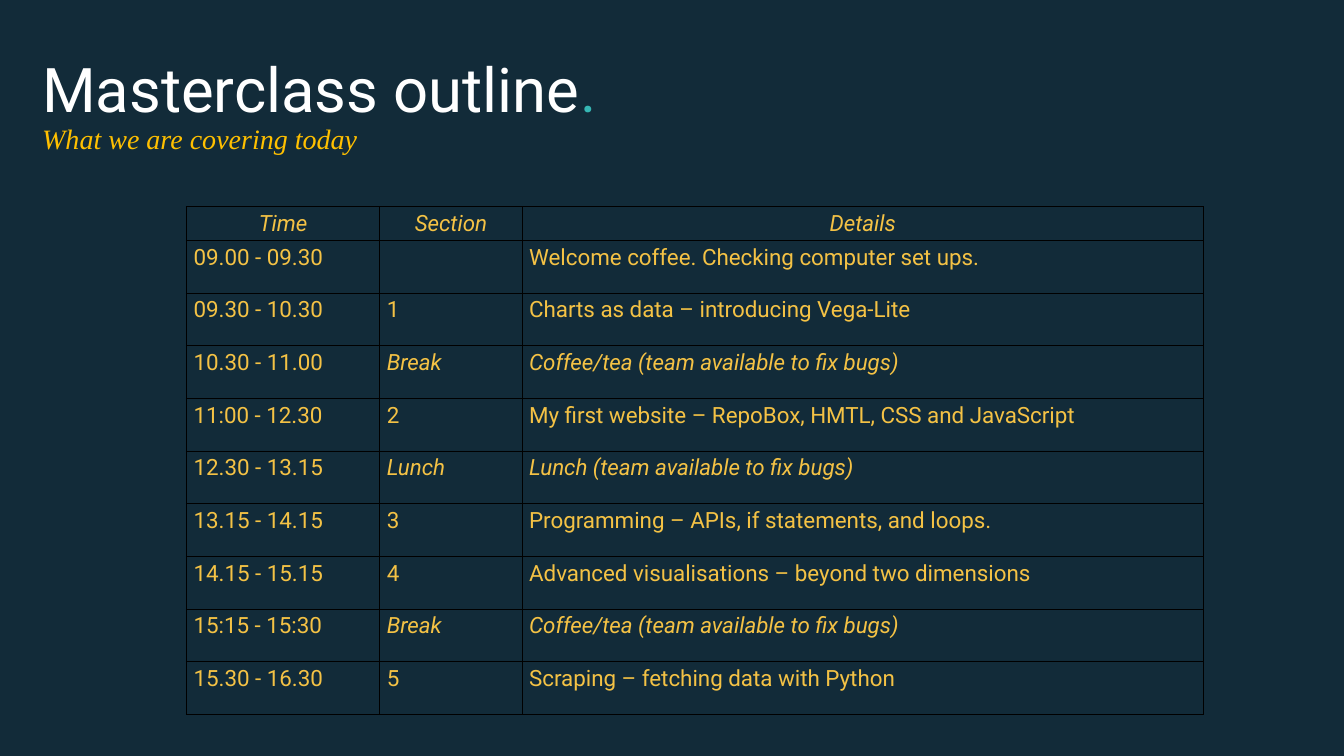
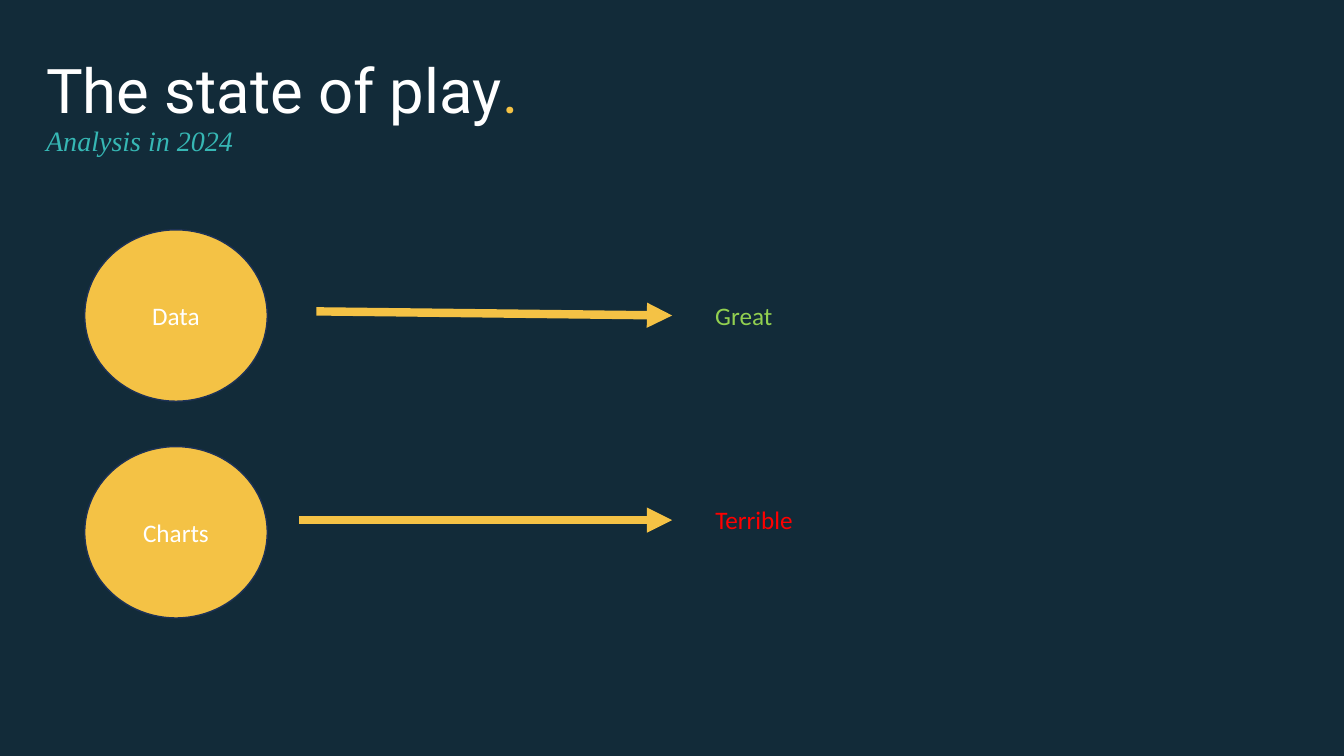
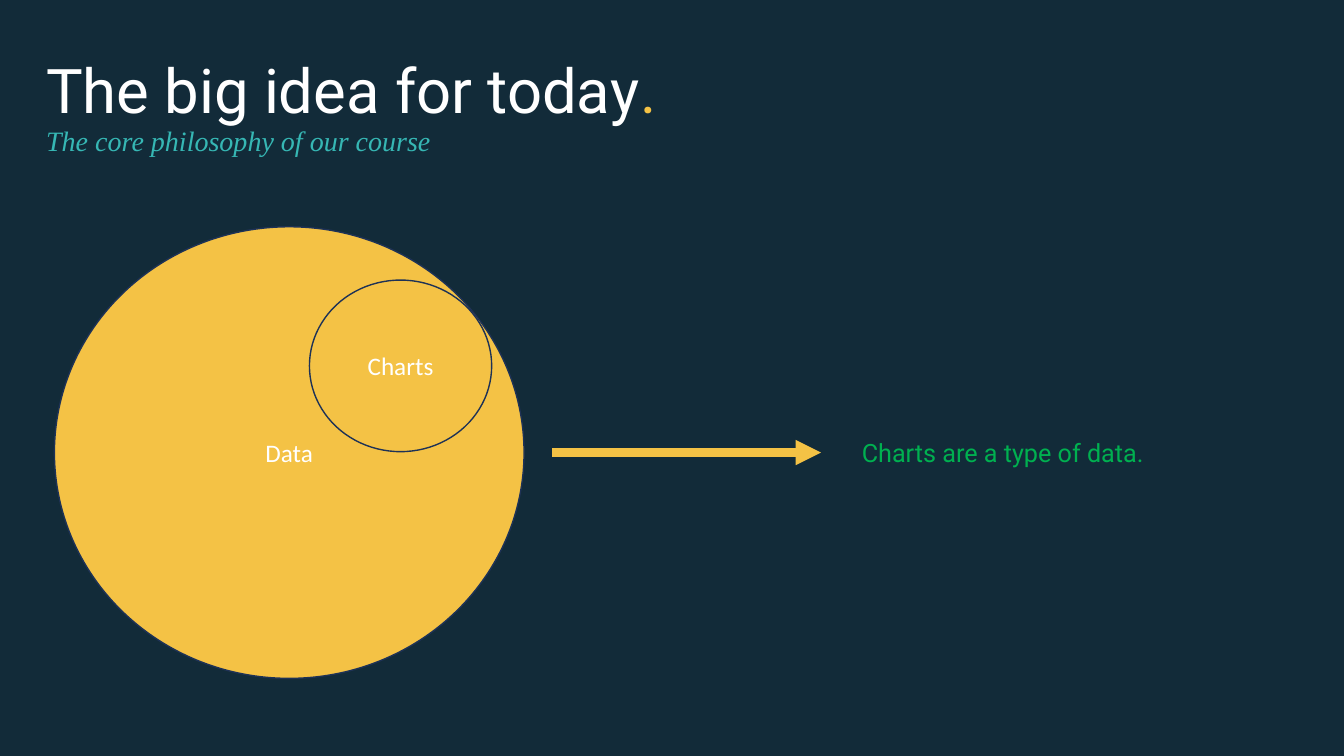
import dataclasses

import pptx
import pptx.dml.color
import pptx.enum.shapes
import pptx.enum.text
import pptx.oxml
import pptx.oxml.ns
import pptx.util

SHAPE = pptx.enum.shapes.MSO_SHAPE
ANCHOR = pptx.enum.text.MSO_ANCHOR
ALIGN = pptx.enum.text.PP_ALIGN
SLIDE_W, SLIDE_H = pptx.util.Inches(13.333), pptx.util.Inches(7.5)


# Theme: colours, fonts and type sizes
@dataclasses.dataclass(frozen=True)
class Theme:
    navy: str = "122B39"
    outline: str = "1E3256"
    yellow: str = "F4C245"
    gold: str = "FFC000"
    teal: str = "36B7B4"
    white: str = "FFFFFF"
    black: str = "000000"
    lime: str = "92D050"
    green: str = "00B050"
    red: str = "FF0000"
    head_font: str = "Roboto"
    accent_font: str = "Times New Roman"
    body_font: str = "Calibri"
    title: int = 44
    subtitle: int = 20
    label: int = 18
    cell: int = 16
    thin: int = 1
    thick: int = 6


T = Theme()


# Boxes are measured in percent of the slide; areas in percent of their box
@dataclasses.dataclass(frozen=True)
class Box:
    x: float
    y: float
    w: float
    h: float

    def area(self, x, y, w=0, h=0):
        return Box(self.x + self.w * x / 100, self.y + self.h * y / 100,
                   self.w * w / 100, self.h * h / 100)

    def emu(self):
        return (int(SLIDE_W * self.x / 100), int(SLIDE_H * self.y / 100),
                int(SLIDE_W * self.w / 100), int(SLIDE_H * self.h / 100))


def rgb(value):
    return pptx.dml.color.RGBColor.from_string(value)


def set_all(obj, **values):
    for name, value in values.items():
        setattr(obj, name, value)


def add_run(p, text, size, font, color, italic=False):
    r = p.add_run()
    r.text = text
    set_all(r.font, size=pptx.util.Pt(size), name=font, italic=italic)
    r.font.color.rgb = rgb(color)


# Shared elements
def add_slide(prs):
    s = prs.slides.add_slide(prs.slide_layouts[6])
    s.background.fill.solid()
    s.background.fill.fore_color.rgb = rgb(T.navy)
    return s


def add_filled(s, kind, box, fill, line=None):
    sp = s.shapes.add_shape(kind, *box.emu())
    sp.shadow.inherit = False
    sp.fill.solid()
    sp.fill.fore_color.rgb = rgb(fill)
    if line:
        sp.line.color.rgb = rgb(line)
        sp.line.width = pptx.util.Pt(T.thin)
    else:
        sp.line.fill.background()
    set_all(sp.text_frame, word_wrap=True, vertical_anchor=ANCHOR.MIDDLE)
    return sp


def add_title(s, box, title, subtitle, dot_color, sub_color):
    sp = add_filled(s, SHAPE.RECTANGLE, box, T.navy)
    p = sp.text_frame.paragraphs[0]
    set_all(p, alignment=ALIGN.LEFT, line_spacing=0.9)
    add_run(p, title, T.title, T.head_font, T.white)
    add_run(p, ".", T.title, T.head_font, dot_color)
    p.add_line_break()
    add_run(p, subtitle, T.subtitle, T.accent_font, sub_color, True)


def add_circle(s, box, label):
    sp = add_filled(s, SHAPE.OVAL, box, T.yellow, T.outline)
    p = sp.text_frame.paragraphs[0]
    p.alignment = ALIGN.CENTER
    add_run(p, label, T.label, T.body_font, T.white)


def add_arrow(s, start, end):
    arrow = s.shapes.add_connector(
        pptx.enum.shapes.MSO_CONNECTOR.STRAIGHT,
        *start.emu()[:2], *end.emu()[:2])
    arrow.line.color.rgb = rgb(T.yellow)
    arrow.line.width = pptx.util.Pt(T.thick)
    ns = pptx.oxml.ns.nsdecls("a")
    ln = arrow.get_or_add_ln()
    ln.append(pptx.oxml.parse_xml(f'<a:tailEnd {ns} type="triangle"/>'))
    ln.addnext(pptx.oxml.parse_xml(f'<a:effectLst {ns}/>'))


def add_note(s, box, text, font, color, wrap=False):
    tf = s.shapes.add_textbox(*box.emu()).text_frame
    set_all(tf, word_wrap=wrap,
            auto_size=pptx.enum.text.MSO_AUTO_SIZE.SHAPE_TO_FIT_TEXT)
    p = tf.paragraphs[0]
    add_run(p, text, T.label, font, color)
    return p


# Timetable
def add_borders(cell):
    tc_pr = cell._tc.get_or_add_tcPr()
    for i, side in enumerate(("lnL", "lnR", "lnT", "lnB")):
        tc_pr.insert(i, pptx.oxml.parse_xml(
            f'<a:{side} {pptx.oxml.ns.nsdecls("a")} '
            f'w="{int(pptx.util.Pt(T.thin))}"><a:solidFill>'
            f'<a:srgbClr val="{T.black}"/></a:solidFill></a:{side}>'))


def fill_cell(cell, text, header, italic):
    cell.fill.solid()
    cell.fill.fore_color.rgb = rgb(T.navy)
    add_borders(cell)
    side = pptx.util.Inches(0.07)
    set_all(cell, margin_left=side, margin_right=side,
            margin_top=0, margin_bottom=0)
    p = cell.text_frame.paragraphs[0]
    gap = pptx.util.Pt(3)
    set_all(p, line_spacing=1.15, space_before=gap, space_after=gap,
            alignment=ALIGN.CENTER if header else ALIGN.LEFT)
    if text:
        add_run(p, text, T.cell, T.head_font, T.yellow, italic)


def add_timetable(s, box, rows):
    col_shares = (0.19, 0.14, 0.67)
    row_weights = [2] + [3.1] * (len(rows) - 1)
    frame = s.shapes.add_table(len(rows), len(col_shares), *box.emu())
    table = frame.table
    set_all(table, first_row=False, horz_banding=False)
    _, _, width, height = box.emu()
    for col, share in zip(table.columns, col_shares):
        col.width = int(width * share)
    for row, weight in zip(table.rows, row_weights):
        row.height = int(height * weight / sum(row_weights))
    for i, texts in enumerate(rows):
        pause = texts[1] in ("Break", "Lunch")
        for j, text in enumerate(texts):
            fill_cell(table.cell(i, j), text, i == 0,
                      i == 0 or (pause and j > 0))


# Circle, arrow and verdict in one row
def add_verdict_row(s, box, label, start, end, verdict, color, width):
    add_circle(s, box.area(0, 0, 25.3, 100), label)
    add_arrow(s, box.area(*start), box.area(*end))
    add_note(s, box.area(86, end[1] - 12, width, 23.5),
             verdict, T.body_font, color)


# Nested circles with a conclusion
def add_nested_idea(s, box, outer, inner, conclusion):
    outer_box = box.area(0, 0, 38.6, 100)
    add_circle(s, outer_box, outer)
    add_circle(s, outer_box.area(54.3, 11.8, 38.8, 38), inner)
    add_arrow(s, box.area(40.9, 50), box.area(63, 50))
    p = add_note(s, box.area(61.4, 45.5, 38.6, 8.9), conclusion,
                 T.head_font, T.green, True)
    p.level = 1
    p_pr = p._p.get_or_add_pPr()
    for name, value in {"marL": pptx.util.Inches(0.5), "indent": 0}.items():
        p_pr.set(name, str(int(value)))


TIMETABLE = [
    ("Time", "Section", "Details"),
    ("09.00 - 09.30", "", "Welcome coffee. Checking computer set ups."),
    ("09.30 - 10.30", "1", "Charts as data – introducing Vega-Lite"),
    ("10.30 - 11.00", "Break", "Coffee/tea (team available to fix bugs)"),
    ("11:00 - 12.30", "2",
     "My first website – RepoBox, HMTL, CSS and JavaScript"),
    ("12.30 - 13.15", "Lunch", "Lunch (team available to fix bugs)"),
    ("13.15 - 14.15", "3", "Programming – APIs, if statements, and loops."),
    ("14.15 - 15.15", "4", "Advanced visualisations – beyond two dimensions"),
    ("15:15 - 15:30", "Break", "Coffee/tea (team available to fix bugs)"),
    ("15.30 - 16.30", "5", "Scraping – fetching data with Python"),
]
TITLE_BOX = Box(2.7, 5.07, 91.88, 18.67)


# Slides
def outline_slide(prs):
    s = add_slide(prs)
    add_title(s, Box(2.4, 4.53, 91.88, 19.33), "Masterclass outline",
              "What we are covering today", T.teal, T.gold)
    add_timetable(s, Box(13.88, 27.33, 75.67, 67.2), TIMETABLE)


def state_slide(prs):
    s = add_slide(prs)
    add_title(s, TITLE_BOX, "The state of play", "Analysis in 2024",
              T.yellow, T.teal)
    rows = [
        ("Data", (32.1, 47.6), (81.4, 50), "Great", T.lime, 10.8),
        ("Charts", (29.7, 42.9), (81.4, 42.9), "Terrible", T.red, 13.7),
    ]
    for i, row in enumerate(rows):
        add_verdict_row(s, Box(6.3, 30.4 + 28.67 * i, 53.7, 22.67), *row)


def idea_slide(prs):
    s = add_slide(prs)
    add_title(s, TITLE_BOX, "The big idea for today",
              "The core philosophy of our course", T.yellow, T.teal)
    add_nested_idea(s, Box(4.05, 30, 90.53, 59.73), "Data", "Charts",
                    "Charts are a type of data.")


def main():
    prs = pptx.Presentation()
    set_all(prs, slide_width=SLIDE_W, slide_height=SLIDE_H)
    for build in (outline_slide, state_slide, idea_slide):
        build(prs)
    prs.save("out.pptx")


if __name__ == "__main__":
    main()
